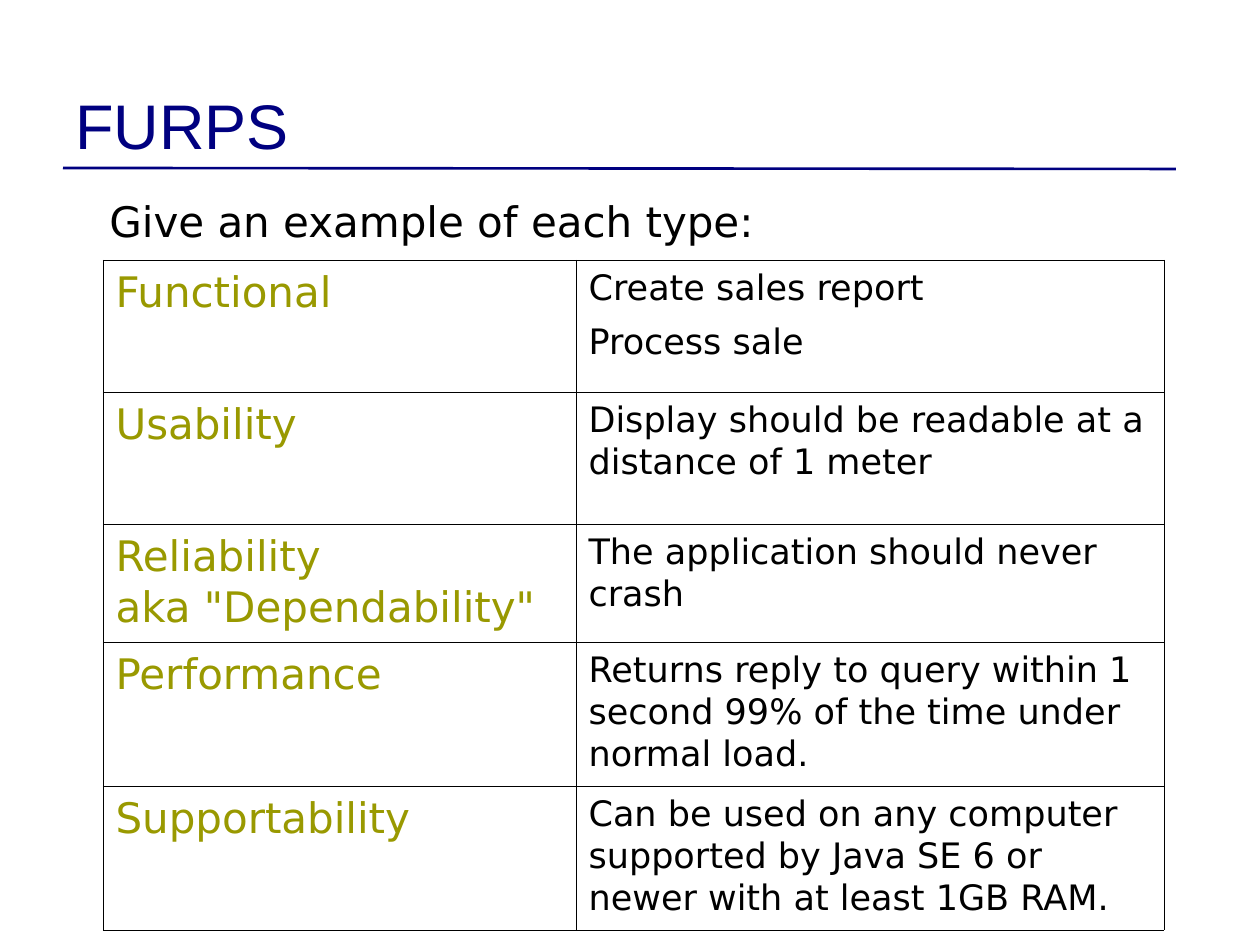
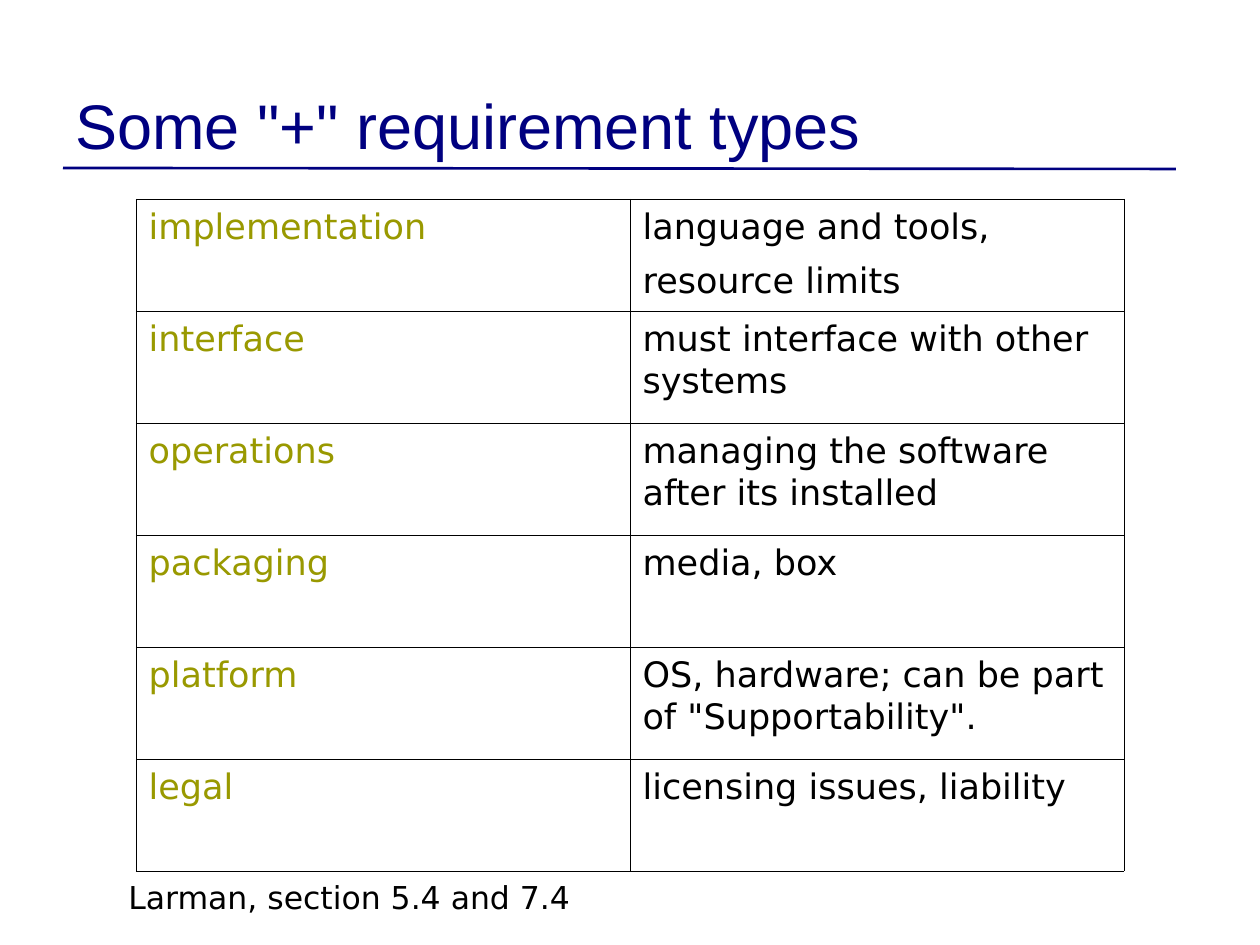
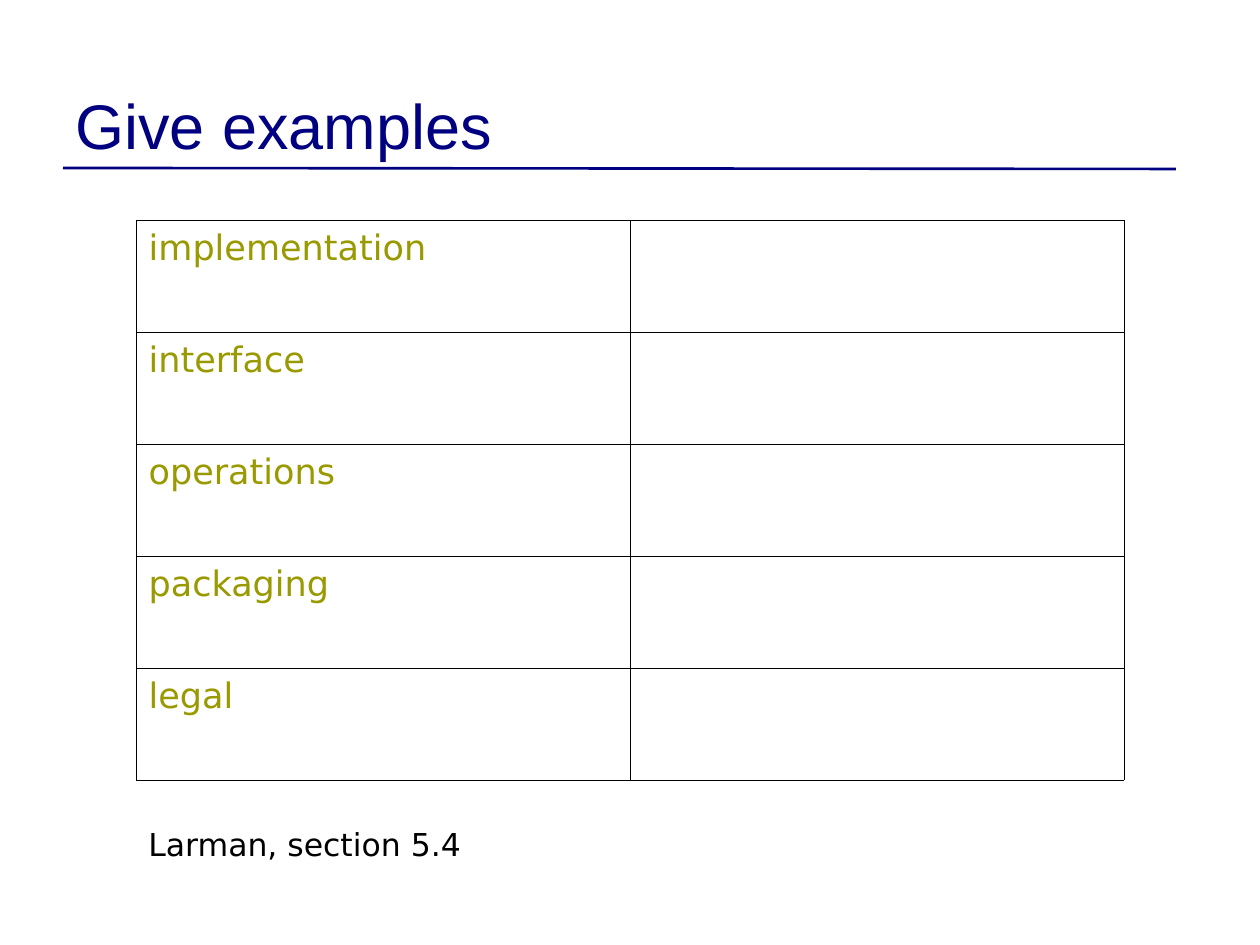
"""Build three slides on FURPS and further requirement types."""
import pptx
import pptx.dml.color
import pptx.enum.shapes
import pptx.enum.text
import pptx.oxml
import pptx.oxml.ns
import pptx.util

NAVY, OLIVE, BLACK = "000080", "999900", "000000"
HEAD, BODY = "Arial", "DejaVu Sans"
NS = pptx.oxml.ns.nsdecls("a")


def px(num):
    return pptx.util.Emu(num * 914400 // 126)


def ink(code):
    return pptx.dml.color.RGBColor.from_string(code)


class Deck:
    """Hold the shared style and the current slide."""

    def __init__(self):
        self.file = pptx.Presentation()
        self.file.slide_width, self.file.slide_height = px(1260), px(945)

    def page(self, title):
        self.slide = self.file.slides.add_slide(self.file.slide_layouts[6])
        self.rule(63, 168, 1176, 169)
        self.label(title, 63, 38, 1134, 130, 36, HEAD, NAVY,
                   pptx.enum.text.MSO_ANCHOR.BOTTOM)

    def rule(self, *ends):
        line = self.slide.shapes.add_connector(
            pptx.enum.shapes.MSO_CONNECTOR.STRAIGHT, *map(px, ends))
        line.line.color.rgb = ink(NAVY)
        line.line.width = pptx.util.Pt(1.5)
        line._element.spPr.append(pptx.oxml.parse_xml(f"<a:effectLst {NS}/>"))

    def fill_in(self, frame, text, size, face, tint, first=None, later=None):
        frame.text = text
        look = {"size": pptx.util.Pt(size), "name": face}
        for rank, para in enumerate(frame.paragraphs):
            for key, value in look.items():
                setattr(para.font, key, value)
            para.font.color.rgb = ink(tint)
            if first:
                para.line_spacing = later if rank else first
            if rank:
                para.space_before = pptx.util.Pt(5)

    def label(self, text, left, top, width, height, size, face=BODY,
              tint=BLACK, anchor=pptx.enum.text.MSO_ANCHOR.TOP):
        box = self.slide.shapes.add_textbox(*map(px, (left, top, width, height)))
        frame = box.text_frame
        frame.word_wrap = True
        frame.vertical_anchor = anchor
        self.fill_in(frame, text, size, face, tint)

    def edge(self, cell):
        props = cell._tc.get_or_add_tcPr()
        for side in "LRTB":
            props.append(pptx.oxml.parse_xml(
                f'<a:ln{side} {NS} w="762"><a:solidFill><a:srgbClr val="{BLACK}"/>'
                f"</a:solidFill></a:ln{side}>"))

    def grid(self, rows, left, top, widths, heights, size=20):
        frame = self.slide.shapes.add_table(
            len(rows), len(widths),
            *map(px, (left, top, sum(widths), sum(heights))))
        table = frame.table
        table.first_row = table.horz_banding = False
        for col, width in zip(table.columns, widths):
            col.width = px(width)
        for row, height, texts in zip(table.rows, heights, rows):
            row.height = px(height)
            for cell, text, points, tint in zip(
                    row.cells, texts, (size, 20), (OLIVE, BLACK)):
                self.edge(cell)
                cell.fill.background()
                self.fill_in(cell.text_frame, text, points, BODY, tint, 1.04, 1.12)


def main():
    deck = Deck()

    deck.page("FURPS")
    deck.label("Give an example of each type:", 97, 189, 1100, 84, 24)
    deck.grid([
        ("Functional", "Create sales report\nProcess sale"),
        ("Usability", "Display should be readable at a distance of 1 meter"),
        ('Reliability\vaka "Dependability"', "The application should never crash"),
        ("Performance", "Returns reply to query within 1 second 99% of the time "
                        "under normal load."),
        ("Supportability", "Can be used on any computer supported by Java SE 6 "
                           "or newer with at least 1GB RAM."),
    ], 103, 260, (473, 588), (132, 132, 118, 144, 144), 24)

    kinds = {
        "implementation": "language and tools,\nresource limits",
        "interface": "must interface with other systems",
        "operations": "managing the software after its installed",
        "packaging": "media, box",
        "platform": 'OS, hardware; can be part of "Supportability".',
        "legal": "licensing issues, liability",
    }
    halves = (494, 494)
    deck.page('Some "+" requirement types')
    deck.grid(list(kinds.items()), 136, 199, halves, [112] * 6)
    deck.label("Larman, section 5.4 and 7.4", 116, 872, 703, 50, 18)

    deck.page("Give examples")
    blanks = [(kind, "") for kind in kinds if kind != "platform"]
    deck.grid(blanks, 136, 220, halves, [112] * 5)
    deck.label("Larman, section 5.4", 136, 819, 703, 50, 18)

    deck.file.save("out.pptx")


if __name__ == "__main__":
    main()
